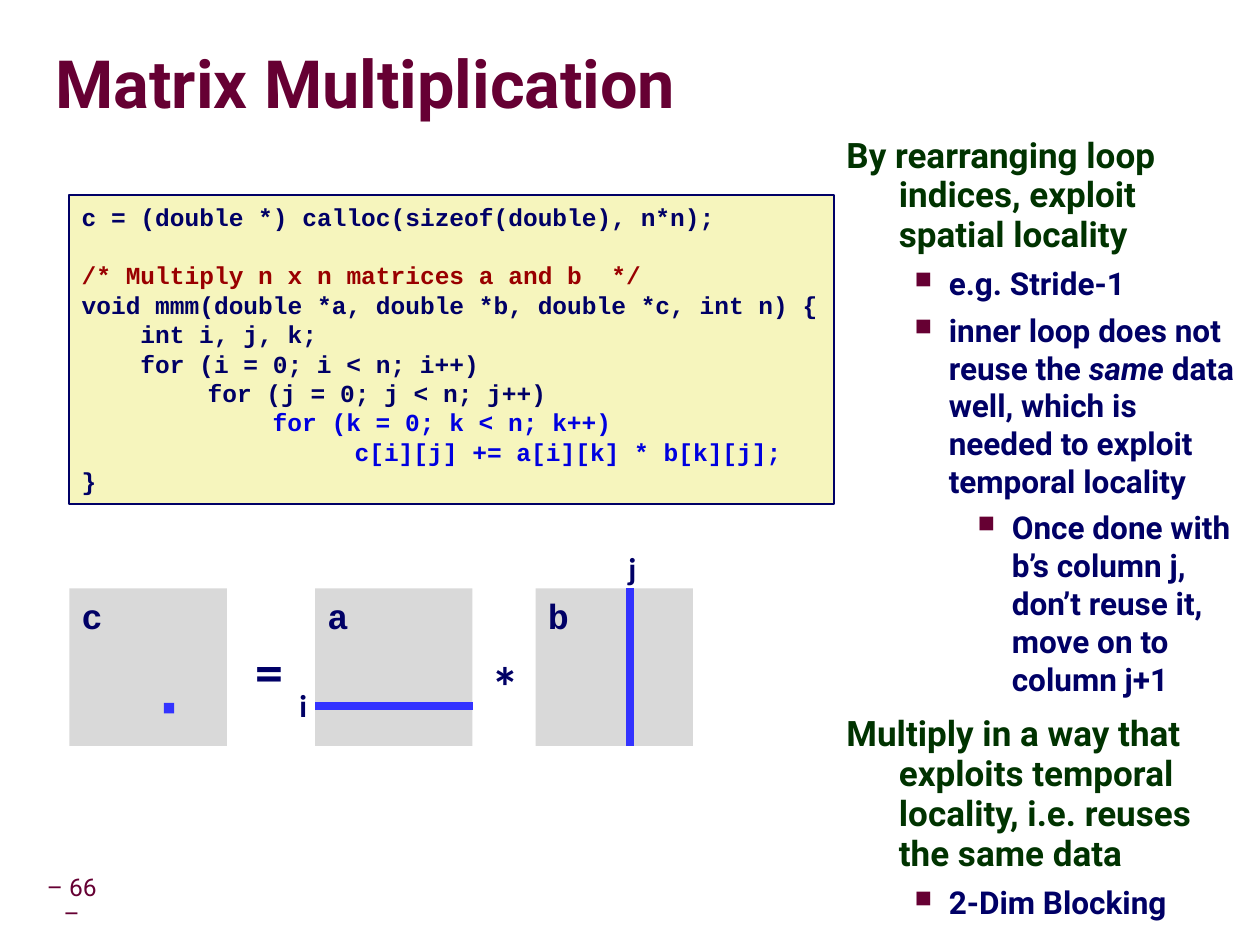
from lxml.etree import SubElement
from pptx import Presentation
from pptx.dml.color import RGBColor
from pptx.enum.shapes import MSO_CONNECTOR, MSO_SHAPE
from pptx.enum.text import MSO_ANCHOR as ANCHOR, MSO_AUTO_SIZE as AUTO_SIZE, PP_ALIGN as ALIGN
from pptx.oxml import parse_xml
from pptx.oxml.ns import nsdecls, qn
from pptx.util import Pt

COLORS = {
    "maroon": "660033", "navy": "000066", "green": "003300", "comment": "990000",
    "inner_loop": "0000DF", "code_fill": "F6F5BD", "matrix": "D9D9D9", "accent": "3333FF",
}
NO_INSETS = dict.fromkeys(("margin_left", "margin_top", "margin_right", "margin_bottom"), 0)
CODE_FONT = {"name": "Courier New", "size": Pt(14), "bold": True}
MATRIX_FONT = {"name": "Courier New", "size": Pt(20), "bold": True}

# text, left indent, space before, colour
CODE_LINES = [
    ("c = (double *) calloc(sizeof(double), n*n);", 0, 0, "navy"),
    ("/* Multiply n x n matrices a and b  */", 0, 16.8, "comment"),
    ("void mmm(double *a, double *b, double *c, int n) {", 0, 0, "navy"),
    ("int i, j, k;", 33.6, 0, "navy"),
    ("for (i = 0; i < n; i++)", 33.6, 0, "navy"),
    ("for (j = 0; j < n; j++)", 72, 0, "navy"),
    ("for (k = 0; k < n; k++)", 109.2, 0, "inner_loop"),
    ("c[i][j] += a[i][k] * b[k][j];", 156, 0, "inner_loop"),
    ("}", 0, 0, "navy"),
]

# level, runs; every second run is italic
NOTES = [
    (0, ["By rearranging loop indices, exploit spatial locality"]),
    (1, ["e.g. Stride-1"]),
    (1, ["inner loop does not reuse the ", "same",
         " data well, which is needed to exploit temporal locality"]),
    (2, ["Once done with b’s column j, don’t reuse it, move on to column j+1"]),
    (0, ["Multiply in a way that exploits temporal locality, i.e. reuses the same data"]),
    (1, ["2-Dim Blocking"]),
]
# left margin, first-line indent, space before, size, colour
NOTE_LEVELS = [
    (30, -30, 10, 20, "green"),
    (58.5, -19.5, 4.9, 18, "navy"),
    (94.5, -19.5, 4.9, 18, "navy"),
]


def rgb(color):
    return RGBColor.from_string(COLORS[color])


def set_values(target, values):
    for name, value in values.items():
        setattr(target, name, value)


def add_run(paragraph, text, color, font):
    run = paragraph.add_run()
    run.text = text
    set_values(run.font, font)
    run.font.color.rgb = rgb(color)
    return run


def set_indent(paragraph, left, first_line=0):
    properties = paragraph._p.get_or_add_pPr()
    properties.set("marL", str(Pt(left)))
    properties.set("indent", str(Pt(first_line)))
    return properties


def add_box(slide, left, top, width, height, fill, line=None):
    box = slide.shapes.add_shape(
        MSO_SHAPE.RECTANGLE, Pt(left), Pt(top), Pt(width), Pt(height))
    box.shadow.inherit = False
    box.fill.solid()
    box.fill.fore_color.rgb = rgb(fill)
    if line:
        box.line.color.rgb = rgb(line)
        box.line.width = Pt(1)
    else:
        box.line.fill.background()
    box.text_frame.vertical_anchor = ANCHOR.TOP
    return box


def add_label(slide, left, top, width, height, text, size):
    label = slide.shapes.add_textbox(Pt(left), Pt(top), Pt(width), Pt(height))
    label.text_frame.word_wrap = False
    add_run(label.text_frame.paragraphs[0], text, "navy",
            {"name": "Calibri", "size": Pt(size), "bold": True})


def add_bar(slide, x1, y1, x2, y2):
    bar = slide.shapes.add_connector(
        MSO_CONNECTOR.STRAIGHT, Pt(x1), Pt(y1), Pt(x2), Pt(y2))
    bar.line.color.rgb = rgb("accent")
    bar.line.width = Pt(4.5)
    SubElement(bar._element.spPr, qn("a:effectLst"))


def place_title(slide, left, top, width, height):
    title = slide.shapes.title
    set_values(title, {"left": Pt(left), "top": Pt(top),
                       "width": Pt(width), "height": Pt(height)})
    frame = title.text_frame
    set_values(frame, {**NO_INSETS, "vertical_anchor": ANCHOR.MIDDLE,
                       "word_wrap": True, "auto_size": AUTO_SIZE.NONE})
    heading = frame.paragraphs[0]
    set_values(heading, {"alignment": ALIGN.LEFT, "line_spacing": 0.87})
    run = add_run(heading, "Matrix Multiplication", "maroon",
                  {"name": "Roboto", "size": Pt(38), "bold": True})
    shadow = parse_xml(
        f'<a:effectLst {nsdecls("a")}><a:outerShdw blurRad="38100" dist="38100" '
        'dir="2700000" algn="tl"><a:srgbClr val="C0C0C0"/></a:outerShdw></a:effectLst>')
    run.font._element.find(qn("a:solidFill")).addnext(shadow)


def place_code(slide, left, top, width, height):
    frame = add_box(slide, left, top, width, height, "code_fill", "navy").text_frame
    frame.word_wrap = False
    for index, (text, indent, before, color) in enumerate(CODE_LINES):
        line = frame.add_paragraph() if index else frame.paragraphs[0]
        set_values(line, {"alignment": ALIGN.LEFT, "space_before": Pt(before)})
        set_indent(line, indent)
        add_run(line, text, color, CODE_FONT)


def place_product(slide, left, top, side):
    """Draw c = a * b with row i, column j and the resulting element marked."""
    a_left, b_left = left + 140.4, left + 266.4
    row_y, column_x = top + 67, b_left + 54
    for name, matrix_left in (("c", left), ("a", a_left), ("b", b_left)):
        matrix = add_box(slide, matrix_left, top, side, side, "matrix")
        entry = matrix.text_frame.paragraphs[0]
        entry.alignment = ALIGN.LEFT
        add_run(entry, name, "navy", MATRIX_FONT)
    add_bar(slide, a_left, row_y, a_left + side, row_y)
    add_bar(slide, column_x, top, column_x, top + side)
    add_box(slide, left + 54, top + 65.5, 6, 6, "accent")
    add_label(slide, a_left - 16, row_y - 14.5, 19, 29, "i", 18)
    add_label(slide, column_x - 8, top - 26, 19.5, 29, "j", 18)
    add_label(slide, left + 99.4, top + 24, 31, 46, "=", 32)
    add_label(slide, left + 234, top + 32.4, 31, 46, "*", 32)


def place_notes(slide, left, top, width, height):
    frame = slide.shapes.add_textbox(Pt(left), Pt(top), Pt(width), Pt(height)).text_frame
    frame.word_wrap = True
    for index, (level, texts) in enumerate(NOTES):
        note = frame.add_paragraph() if index else frame.paragraphs[0]
        margin, first_line, before, size, color = NOTE_LEVELS[level]
        set_values(note, {"level": level, "space_before": Pt(before if index else 0),
                          "line_spacing": 1.0 if level else 0.95})
        properties = set_indent(note, margin, first_line)
        if level:
            bullet_color = SubElement(properties, qn("a:buClr"))
            SubElement(bullet_color, qn("a:srgbClr"), val=COLORS["maroon"])
            SubElement(properties, qn("a:buSzPct"), val="75000")
            SubElement(properties, qn("a:buChar"), char="■")
        for part, text in enumerate(texts):
            add_run(note, text, color, {"name": "Roboto", "size": Pt(size),
                                        "bold": True, "italic": part % 2 == 1})


def place_page_number(slide, left, top, width, height):
    frame = slide.shapes.add_textbox(Pt(left), Pt(top), Pt(width), Pt(height)).text_frame
    set_values(frame, {"word_wrap": True, "vertical_anchor": ANCHOR.MIDDLE})
    number = frame.paragraphs[0]
    set_values(number, {"alignment": ALIGN.CENTER, "line_spacing": 0.9})
    add_run(number, "– 66 –", "maroon", {"name": "Roboto", "size": Pt(14)})


def main():
    deck = Presentation()
    set_values(deck, {"slide_width": Pt(720), "slide_height": Pt(540)})
    slide = deck.slides.add_slide(deck.slide_layouts[5])
    place_page_number(slide, 17.3, 504, 47.5, 22.3)
    place_title(slide, 31.7, 19.4, 686, 61.2)
    place_product(slide, 39.6, 336.2, 90)
    place_code(slide, 39.6, 111.6, 437, 176.4)
    place_notes(slide, 476.6, 74.2, 243.4, 437.8)
    deck.save("out.pptx")


if __name__ == "__main__":
    main()
